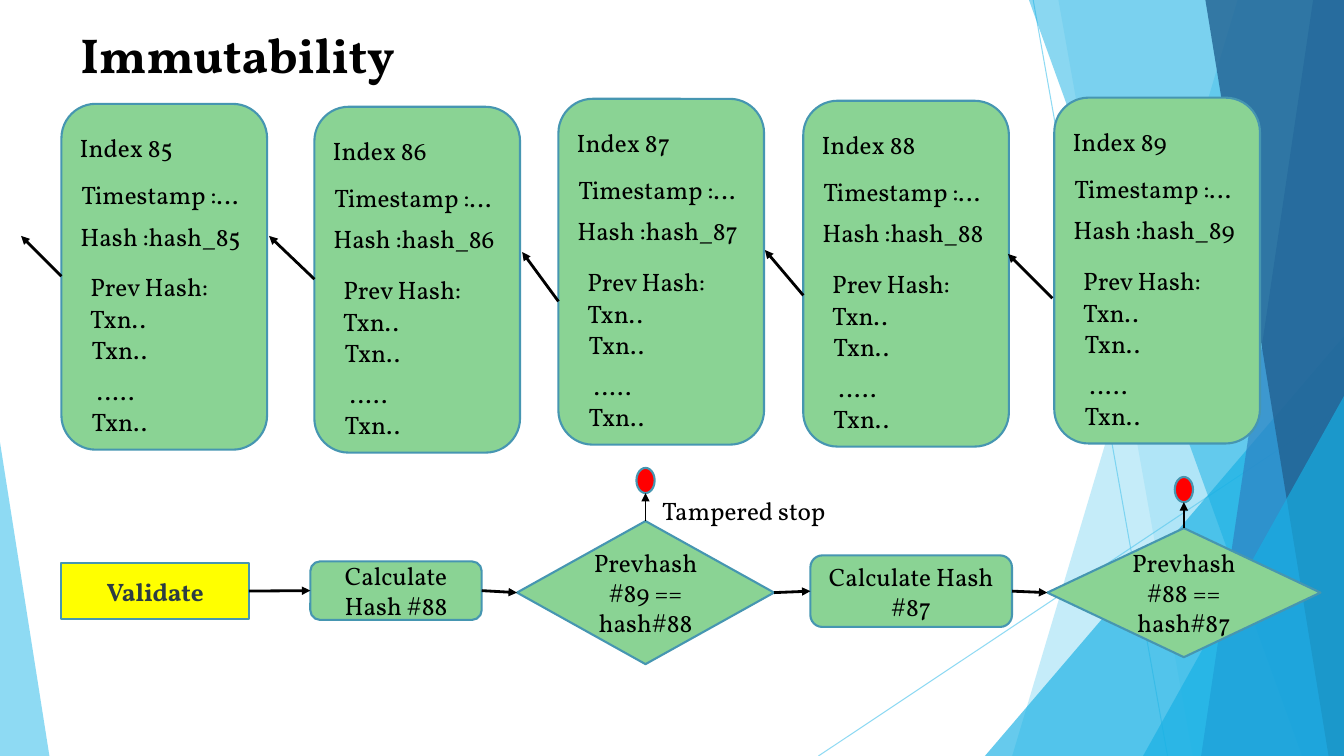
import pptx
import pptx.util
import pptx.dml.color
import pptx.enum.shapes
import pptx.enum.text
import pptx.oxml
import pptx.oxml.ns

Pt = pptx.util.Pt
RGBColor = pptx.dml.color.RGBColor
SHAPE = pptx.enum.shapes.MSO_SHAPE
TEXT = pptx.enum.text
FONT = "Vollkorn"
BLACK = RGBColor(0x00, 0x00, 0x00)
SLATE = RGBColor(0x2C, 0x3C, 0x43)
GREEN = RGBColor(0x8A, 0xD3, 0x94)
TEAL = RGBColor(0x46, 0x96, 0xB1)
YELLOW = RGBColor(0xFF, 0xFF, 0x00)
RED = RGBColor(0xFF, 0x00, 0x00)
SKY = RGBColor(0x5F, 0xCB, 0xEF)
CYAN = RGBColor(0x17, 0xB0, 0xE4)
BLUE = RGBColor(0x2E, 0x83, 0xC3)
NAVY = RGBColor(0x22, 0x62, 0x92)

FIELDS = [
    ("Index {}", 6, 16.7, 116),
    ("Timestamp :…", 7.2, 50.4, 144),
    ("Hash :hash_{}", 6.5, 80, 133),
    ("Prev Hash:", 13.5, 116.3, 120),
    ("Txn..", 13.5, 139, 100),
    ("Txn..", 14.5, 161.2, 100),
    ("Txn..", 14.5, 212.3, 100),
    ("…..", 18.2, 190.2, 111),
]

BLOCKS = [
    (85, 43.9, 74.2, (0, 123.1), (-28.8, 94.3)),
    (86, 224.6, 76.3, (0, 123.1), (-32.4, 92.2)),
    (87, 398.9, 70.6, (0, 144.7), (-25.9, 109.4)),
    (88, 573.8, 72, (0, 139), (-27.4, 106.6)),
    (89, 753.1, 69.8, (-1.4, 143.3), (-33.1, 111.6)),
]

STEPS = [
    ("Validate", SHAPE.FLOWCHART_PROCESS, 0, 30.2, 133.9, 39.6),
    ("Calculate Hash #88", SHAPE.FLOWCHART_ALTERNATE_PROCESS, 177.8, 28.8, 122.4, 41.8),
    ("Prevhash#89 == hash#88", SHAPE.FLOWCHART_DECISION, 325.4, 0, 183.6, 102.2),
    ("Calculate Hash #87", SHAPE.FLOWCHART_ALTERNATE_PROCESS, 535, 24.5, 144, 51.1),
    ("Prevhash#88 == hash#87", SHAPE.FLOWCHART_DECISION, 704.2, 5, 195.1, 92.2),
]


def set_alpha(fill_element, percent):
    """Make the solid colour inside an element partly transparent."""
    color = fill_element.find(".//" + pptx.oxml.ns.qn("a:srgbClr"))
    alpha = color.makeelement(pptx.oxml.ns.qn("a:alpha"), {"val": str(percent * 1000)})
    color.append(alpha)


def paint(sp, fill, line=None):
    """Give a shape a flat fill and an optional outline."""
    sp.shadow.inherit = False
    sp.fill.solid()
    sp.fill.fore_color.rgb = fill
    if line is None:
        sp.line.fill.background()
    else:
        sp.line.color.rgb = line
        sp.line.width = Pt(1.5)


def write(tf, text, size=18, color=BLACK, bold=False):
    """Write one paragraph into a wrapping text frame."""
    tf.word_wrap = True
    p = tf.paragraphs[0]
    p.text = text
    p.font.name = FONT
    p.font.size = Pt(size)
    p.font.bold = bold
    p.font.color.rgb = color
    return p


def add_label(s, text, x, y, w, h=28.8, size=18, bold=False):
    """Add a text box holding one line."""
    tf = s.shapes.add_textbox(Pt(x), Pt(y), Pt(w), Pt(h)).text_frame
    write(tf, text, size, bold=bold)


def add_node(s, kind, x, y, w, h, fill):
    """Add an outlined shape."""
    sp = s.shapes.add_shape(kind, Pt(x), Pt(y), Pt(w), Pt(h))
    paint(sp, fill, TEAL)
    return sp


def add_line(s, start, end, width, color=BLACK, arrow=True):
    """Add a straight line, with an arrowhead at its end if asked."""
    points = [Pt(v) for v in (*start, *end)]
    line = s.shapes.add_connector(pptx.enum.shapes.MSO_CONNECTOR.STRAIGHT, *points)
    line.line.color.rgb = color
    line.line.width = Pt(width)
    props = line._element.spPr
    if arrow:
        ln = line.line._get_or_add_ln()
        ln.append(ln.makeelement(pptx.oxml.ns.qn("a:tailEnd"), {"type": "triangle"}))
    props.append(props.makeelement(pptx.oxml.ns.qn("a:effectLst"), {}))
    return line


def add_band(s, points, color, alpha):
    """Add a translucent polygon."""
    builder = s.shapes.build_freeform(*points[0], scale=12700)
    builder.add_line_segments(points[1:], close=True)
    sp = builder.convert_to_shape()
    paint(sp, color)
    set_alpha(sp._element.spPr, alpha)


def add_wedge(s, x, y, w, h, apex, color, alpha):
    """Add a translucent triangle whose apex sits at a share of its width."""
    sp = s.shapes.add_shape(SHAPE.ISOSCELES_TRIANGLE, Pt(x), Pt(y), Pt(w), Pt(h))
    sp.adjustments[0] = apex
    paint(sp, color)
    set_alpha(sp._element.spPr, alpha)


def add_backdrop(s, w, h):
    """Draw the faceted decoration along the slide's edges."""
    for start, end in [((738, 0), (834, h)), ((w, 290), (584.6, h))]:
        line = add_line(s, start, end, 0.75, SKY, arrow=False)
        set_alpha(line._element.spPr, 70)

    def band(top, bottom, color, alpha):
        add_band(s, [(top, 0), (w, 0), (w, h), (bottom, h)], color, alpha)

    band(884.2, 722.9, SKY, 36)
    band(756, 851.8, SKY, 20)
    add_wedge(s, 703.5, 240, w - 703.5, h - 240, 1, CYAN, 66)
    band(735.1, 929.5, CYAN, 50)
    band(938.2, 858.2, BLUE, 70)
    band(861.1, 949, NAVY, 80)
    add_wedge(s, 816.5, 283, w - 816.5, h - 283, 1, CYAN, 66)
    add_wedge(s, 0, 316, 35.3, h - 316, 0, SKY, 70)


def add_block(s, number, x, y, tail, head):
    """Draw one block of the chain with its fields and back pointer."""
    add_node(s, SHAPE.ROUNDED_RECTANGLE, x, y, 146.9, 247, GREEN)
    for text, dx, dy, w in FIELDS:
        add_label(s, text.format(number), x + dx, y + dy, w)
    add_line(s, (x + tail[0], y + tail[1]), (x + head[0], y + head[1]), 2)


def add_stop(s, x, y, gap):
    """Draw a red stop mark above a decision's top corner."""
    w, h = 13, 18
    add_node(s, SHAPE.FLOWCHART_CONNECTOR, x - w / 2, y - gap - h, w, h, RED)
    add_line(s, (x, y), (x, y - gap), 1)


def add_flow(s, x, y):
    """Draw the validation steps, the arrows between them and the stops."""
    last = None
    for text, kind, dx, dy, w, h in STEPS:
        left, top = x + dx, y + dy
        start = kind == SHAPE.FLOWCHART_PROCESS
        sp = add_node(s, kind, left, top, w, h, YELLOW if start else GREEN)
        p = write(sp.text_frame, text, color=SLATE if start else BLACK, bold=start)
        p.alignment = TEXT.PP_ALIGN.CENTER
        sp.text_frame.vertical_anchor = TEXT.MSO_ANCHOR.MIDDLE
        if last:
            add_line(s, last, (left, top + h / 2), 2)
        if kind == SHAPE.FLOWCHART_DECISION:
            add_stop(s, left + w / 2, top, 20 if dy == 0 else 18.5)
        last = (left + w, top + h / 2)
    add_label(s, "Tampered stop", x + 421.9, y - 21.6, 145.4)


def main():
    """Build the slide and save it."""
    prs = pptx.Presentation()
    prs.slide_width, prs.slide_height = Pt(960), Pt(540)
    s = prs.slides.add_slide(prs.slide_layouts[6])
    add_backdrop(s, 960, 540)
    add_label(s, "Immutability", 50.4, 13.7, 666, 49.7, size=35, bold=True)
    for block in BLOCKS:
        add_block(s, *block)
    add_flow(s, 43.9, 372.2)
    prs.save("out.pptx")


if __name__ == "__main__":
    main()
